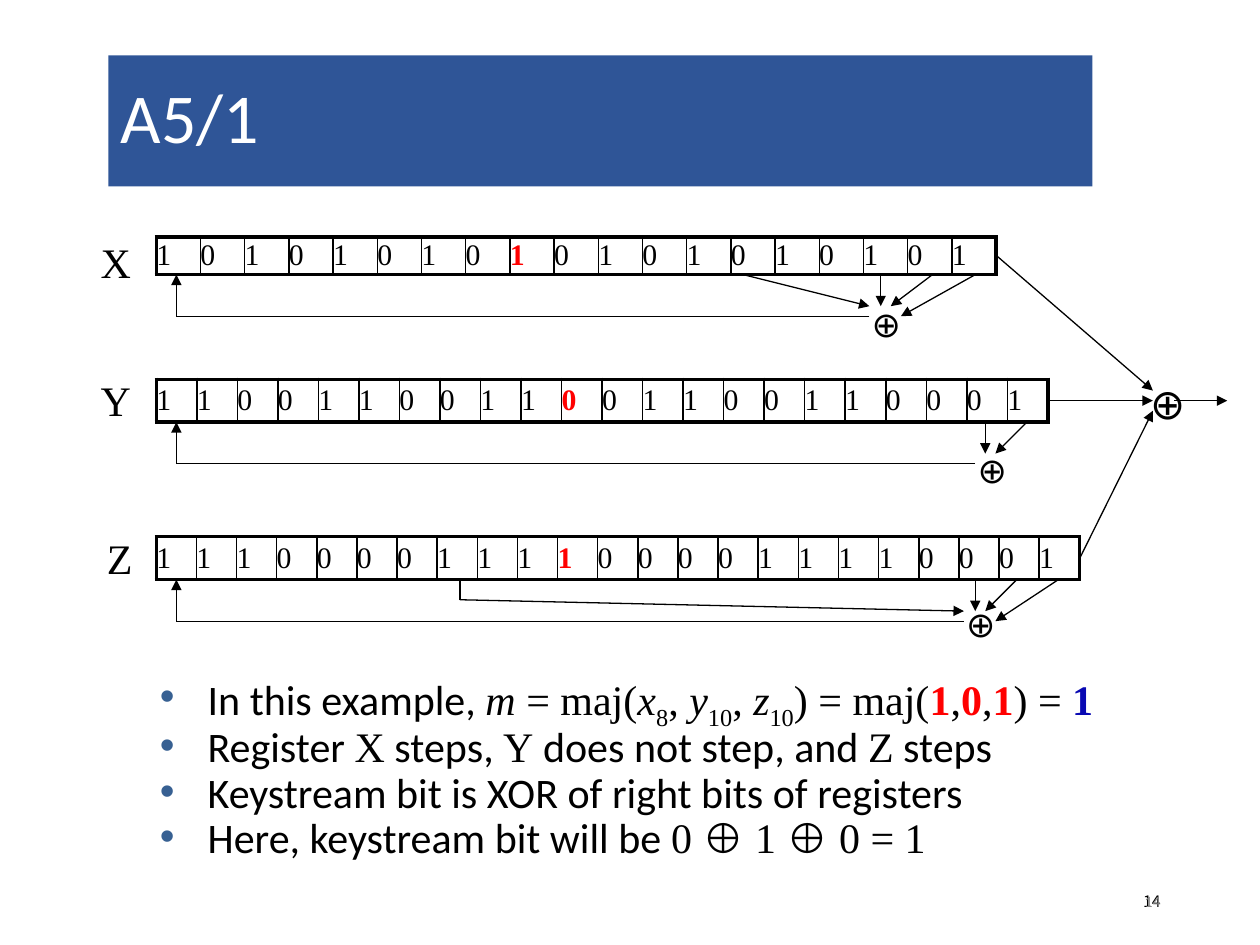
from lxml.etree import SubElement
from pptx import Presentation
from pptx.dml.color import RGBColor
from pptx.enum.shapes import MSO_CONNECTOR as CONN, MSO_SHAPE as SHAPE
from pptx.enum.text import MSO_ANCHOR as ANCHOR, PP_ALIGN as ALIGN
from pptx.oxml.ns import qn
from pptx.util import Emu, Pt

SCALE = 9144
SERIF, SANS, COMIC = "Times New Roman", "Calibri", "Comic Neue"
BLACK, RED, BLUE = "000000", "FF0000", "0909B3"


def px(n):
    return Emu(round(n * SCALE))


def rgb(h):
    return RGBColor.from_string(h)


def add_bullet(p, color, indent):
    pPr = p._p.get_or_add_pPr()
    pPr.set("marL", str(px(indent)))
    pPr.set("indent", str(-px(indent)))
    clr = SubElement(pPr, qn("a:buClr"))
    SubElement(clr, qn("a:srgbClr"), val=color)
    SubElement(pPr, qn("a:buFont"), typeface="Arial")
    SubElement(pPr, qn("a:buChar"), char="•")


def write(p, text, size=24, font=SERIF, color=BLACK, bold=False, italic=False, base=0):
    r = p.add_run()
    r.text = text
    f = r.font
    f.size, f.name, f.bold, f.italic = Pt(size), font, bold, italic
    f.color.rgb = rgb(color)
    if base:
        r._r.get_or_add_rPr().set("baseline", str(base * 1000))


def add_box(s, box, wrap=True, anchor=ANCHOR.TOP):
    tf = s.shapes.add_textbox(*map(px, box)).text_frame
    tf.word_wrap = wrap
    tf.vertical_anchor = anchor
    return tf


def add_label(s, box, text, **fmt):
    write(add_box(s, box, wrap=False).paragraphs[0], text, **fmt)


def add_line(s, x1, y1, x2, y2, arrow=True):
    c = s.shapes.add_connector(CONN.STRAIGHT, *map(px, (x1, y1, x2, y2)))
    c.line.color.rgb = rgb(BLACK)
    c.line.width = Pt(0.75)
    if arrow:
        SubElement(c.line._get_or_add_ln(), qn("a:tailEnd"), type="triangle")
    SubElement(c._element.spPr, qn("a:effectLst"))


def set_borders(cell, **widths):
    tcPr = cell._tc.get_or_add_tcPr()
    for side in "LRTB":
        ln = SubElement(tcPr, qn(f"a:ln{side}"), w=str(Pt(widths[side])))
        fill = SubElement(ln, qn("a:solidFill"))
        SubElement(fill, qn("a:srgbClr"), val=BLACK)


def add_bits(s, box, bits, clock):
    n = len(bits)
    table = s.shapes.add_table(1, n, *map(px, box)).table
    table.first_row = table.horz_banding = False
    table.rows[0].height = px(box[3])
    for i, bit in enumerate(bits):
        table.columns[i].width = px(box[2] / n)
        cell = table.cell(0, i)
        cell.margin_left = cell.margin_right = cell.margin_top = cell.margin_bottom = 0
        cell.vertical_anchor = ANCHOR.MIDDLE
        set_borders(cell, L=1 if i else 2.25, R=1 if i < n - 1 else 2.25, T=2.25, B=2.25)
        cell.fill.background()
        write(cell.text_frame.paragraphs[0], bit, size=17,
              color=RED if i == clock else BLACK, bold=i == clock)


def add_register(s, box, name, name_at, bits, clock, taps, feedback, gate, target, stem=None):
    x, y, w, h = box
    bottom = y + h
    add_bits(s, box, bits, clock)
    add_label(s, (x + name_at[0], y + name_at[1], 50, 50), name)
    for x1, y1, x2, y2 in taps:
        add_line(s, x + x1, bottom + y1, x + x2, bottom + y2)
    if stem:
        add_line(s, x + stem[0], bottom, x + stem[0], bottom + stem[1], arrow=False)
    add_line(s, x + feedback, bottom + 33, x + 16, bottom + 33, arrow=False)
    add_line(s, x + 16, bottom + 33, x + 16, bottom)
    add_label(s, (x + feedback - 8, bottom + gate, 41, 43), "⊕", size=20, font=COMIC)
    add_line(s, x + w, y + h / 2, *target)


def add_title(s, box, text):
    sp = s.shapes.add_shape(SHAPE.RECTANGLE, *map(px, box))
    sp.shadow.inherit = False
    sp.fill.solid()
    sp.fill.fore_color.rgb = rgb("2F5597")
    sp.line.fill.background()
    sp.text_frame.vertical_anchor = ANCHOR.MIDDLE
    p = sp.text_frame.paragraphs[0]
    p.alignment = ALIGN.LEFT
    p.line_spacing = 0.9
    write(p, text, size=40, font=SANS, color="FFFFFF")


def add_notes_list(s, box, items):
    tf = add_box(s, box)
    for i, runs in enumerate(items):
        p = tf.add_paragraph() if i else tf.paragraphs[0]
        add_bullet(p, "376092", 38)
        p.line_spacing = 0.8
        if i:
            p.space_before = Pt(3)
        for text, fmt in runs:
            write(p, text, **fmt)


def add_number(s, box, text, **fmt):
    p = add_box(s, box, anchor=ANCHOR.MIDDLE).paragraphs[0]
    p.alignment = ALIGN.RIGHT
    write(p, text, size=9, **fmt)


def add_output(s, box):
    x, y = box[:2]
    add_label(s, box, "⊕", font=COMIC)
    add_line(s, x + 29, y + 23, x + 71, y + 23)


REGISTERS = [
    dict(box=(124, 188, 667, 30), name="X", name_at=(-54, -5),
         bits="1010101010101010101", clock=8,
         taps=[(575, 0, 575, 25), (616, 0, 583, 25), (650, 0, 591, 33), (466, 0, 566, 25)],
         feedback=566, gate=17, target=(915, 310)),
    dict(box=(124, 301, 708, 34), name="Y", name_at=(-54, -9),
         bits="1100110011001100110001", clock=10,
         taps=[(658, 0, 658, 25), (691, 0, 666, 25)],
         feedback=650, gate=16, target=(915, 318)),
    dict(box=(124, 426, 733, 34), name="Z", name_at=(-49, -8),
         bits="11100001111000011110001", clock=10,
         taps=[(650, 0, 650, 25), (683, 0, 658, 25), (716, 0, 666, 33), (241, 16, 641, 25)],
         feedback=641, gate=13, target=(915, 326), stem=(241, 16)),
]

PLAIN, MATH, VAR = dict(font=SANS), dict(), dict(italic=True)
SUB, HOT, RESULT = dict(base=-25), dict(color=RED, bold=True), dict(color=BLUE, bold=True)

ITEMS = [
    [("In this example, ", PLAIN), ("m", VAR), (" = maj(", MATH), ("x", VAR), ("8", SUB),
     (", ", MATH), ("y", VAR), ("10", SUB), (", ", MATH), ("z", VAR), ("10", SUB),
     (") = maj(", MATH), ("1", HOT), (",", MATH), ("0", HOT), (",", MATH), ("1", HOT),
     (") = ", MATH), ("1", RESULT)],
    [("Register ", PLAIN), ("X", MATH), (" steps, ", PLAIN), ("Y", MATH),
     (" does not step, and ", PLAIN), ("Z", MATH), (" steps", PLAIN)],
    [("Keystream bit is XOR of right bits of registers", PLAIN)],
    [("Here, keystream bit will be ", PLAIN), ("0 ⊕ 1 ⊕ 0 = 1", MATH)],
]


def main():
    prs = Presentation()
    prs.slide_width, prs.slide_height = px(1000), px(750)
    s = prs.slides.add_slide(prs.slide_layouts[6])
    add_title(s, (86, 44, 781, 104), "A5/1")
    add_notes_list(s, (117, 534, 839, 171), ITEMS)
    for register in REGISTERS:
        add_register(s, **register)
    add_output(s, (903, 295, 46, 50))
    for font, color in (("Noto Sans CJK KR", BLACK), (SANS, "898989")):
        add_number(s, (706, 695, 225, 40), "14", font=font, color=color)
    prs.save("out.pptx")


if __name__ == "__main__":
    main()
